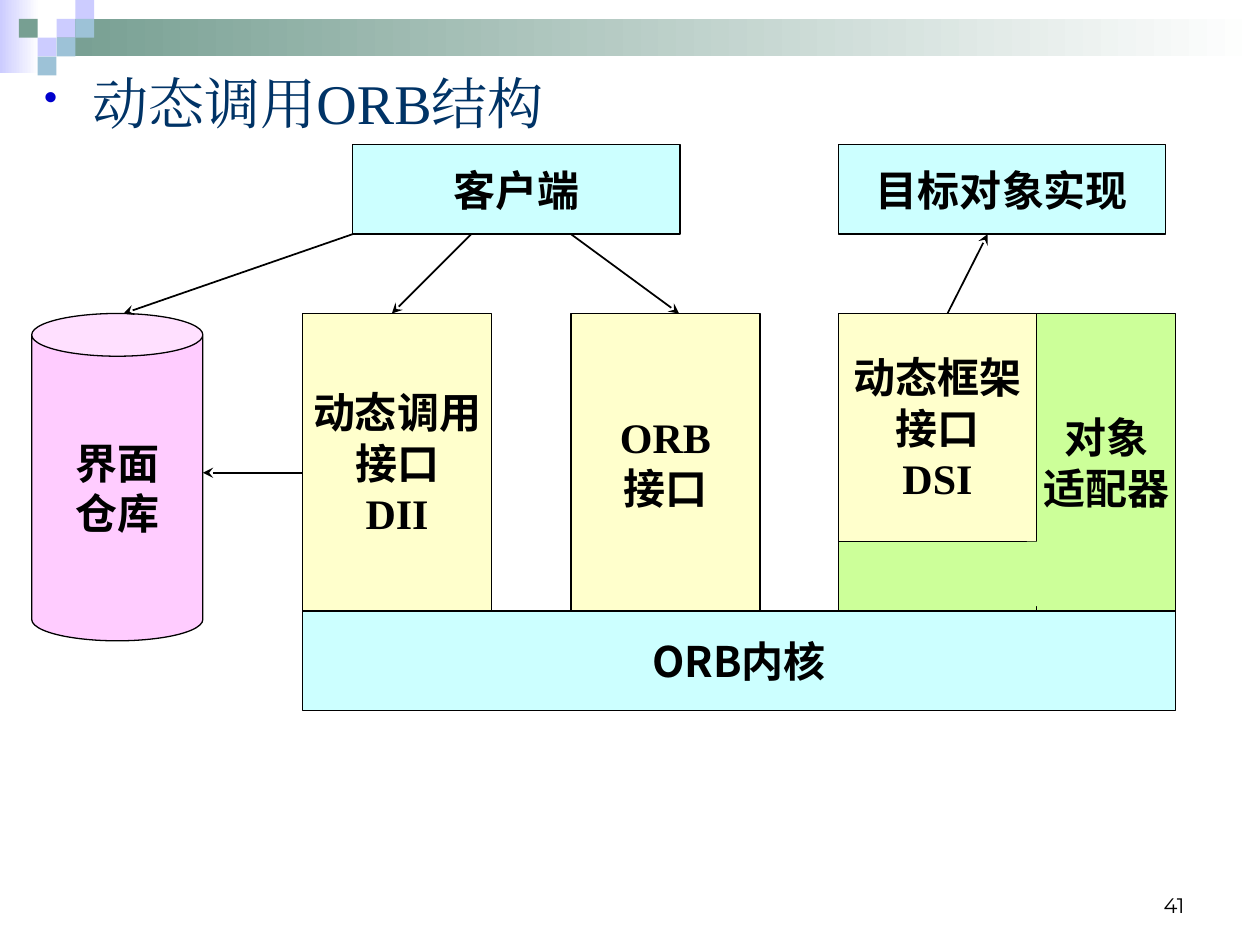
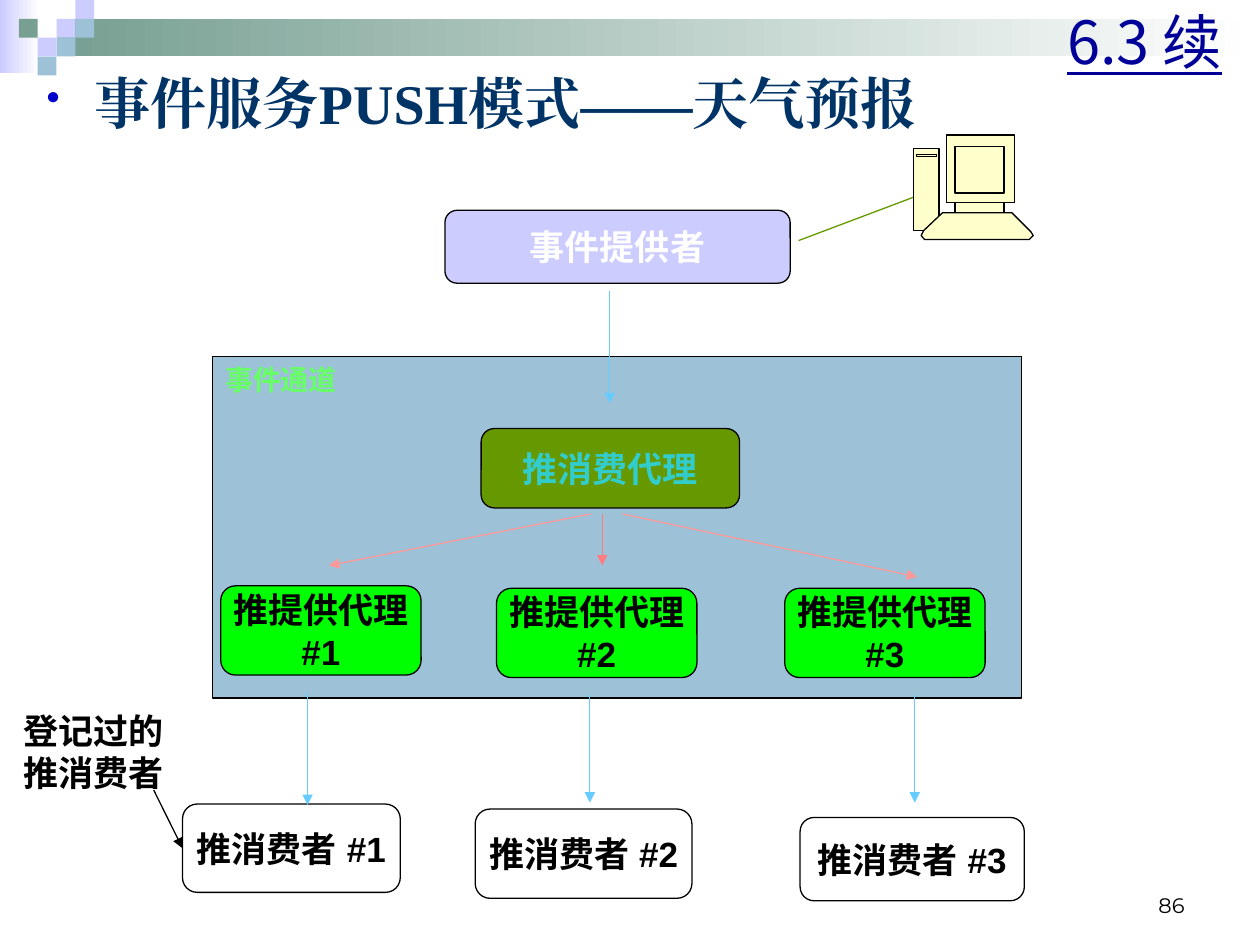
from lxml import etree
from pptx import Presentation
from pptx.dml.color import RGBColor
from pptx.enum import shapes, text
from pptx.oxml.ns import qn
from pptx.util import Cm, Pt

BLACK = RGBColor(0x00, 0x00, 0x00)
WHITE = RGBColor(0xFF, 0xFF, 0xFF)
NAVY = RGBColor(0x00, 0x33, 0x66)
INDIGO = RGBColor(0x00, 0x00, 0x99)
LILAC = RGBColor(0xCC, 0xCC, 0xFF)
STEEL = RGBColor(0x9D, 0xC2, 0xD7)
SAGE = RGBColor(0x77, 0x9F, 0x92)
AQUA = RGBColor(0xCC, 0xFF, 0xFF)
CREAM = RGBColor(0xFF, 0xFF, 0xCC)
LIME = RGBColor(0xCC, 0xFF, 0x99)
PINK = RGBColor(0xFF, 0xCC, 0xFF)
MINT = RGBColor(0x66, 0xFF, 0x66)
GREEN = RGBColor(0x00, 0xFF, 0x00)
OLIVE = RGBColor(0x66, 0x99, 0x00)
TEAL = RGBColor(0x33, 0xCC, 0xCC)
SKY = RGBColor(0x66, 0xCC, 0xFF)
ROSE = RGBColor(0xFF, 0x99, 0x99)
CORAL = RGBColor(0xFF, 0x7C, 0x80)
BULLET = "0000CC"

ARIAL, TIMES = "Arial", "Times New Roman"
NOTO, MONT = "Noto Sans CJK SC", "Montserrat"

KIND = shapes.MSO_SHAPE
RECT, ROUND, CAN = KIND.RECTANGLE, KIND.ROUNDED_RECTANGLE, KIND.CAN
LEFT, MID, RIGHT = text.PP_ALIGN.LEFT, text.PP_ALIGN.CENTER, text.PP_ALIGN.RIGHT
TOP, CENTER, LOW = (text.MSO_ANCHOR.TOP, text.MSO_ANCHOR.MIDDLE,
                    text.MSO_ANCHOR.BOTTOM)

# All lengths are in centimetres.
WIDE, HIGH = 25.4, 19.05
TILE = 0.38
TILES = [  # column, row, colour
    (3, 1, LILAC), (4, 0, LILAC), (4, 1, STEEL), (2, 2, LILAC),
    (1, 1, SAGE), (3, 2, STEEL), (2, 3, STEEL),
]

# Dynamic invocation: rows and columns of the diagram
HEAD, BODY, CORE = 2.92, 6.32, 12.32
FOOT = HEAD + 1.8
SPLIT = 10.92
DII, ORB, DSI, ADAPT, END = 6.1, 11.51, 16.9, 20.9, 23.7
BLOCKS = [  # kind, box, fill, lines of (text, font)
    (RECT, (DII, CORE, END - DII, 2), AQUA, [("ORB内核", NOTO)]),
    (RECT, (DII, BODY, 3.81, CORE - BODY), CREAM,
     [("动态调用", ARIAL), ("接口", ARIAL), ("DII", TIMES)]),
    (RECT, (ORB, BODY, 3.81, CORE - BODY), CREAM,
     [("ORB", TIMES), ("接口", ARIAL)]),
    (RECT, (DSI, BODY, ADAPT - DSI, SPLIT - BODY), CREAM,
     [("动态框架", NOTO), ("接口", NOTO), ("DSI", TIMES)]),
    (RECT, (DSI, SPLIT, ADAPT - DSI, CORE - SPLIT), LIME, []),
    (RECT, (ADAPT, BODY, END - ADAPT, CORE - BODY), LIME,
     [("对象", ARIAL), ("适配器", ARIAL)]),
    (CAN, (0.64, BODY, 3.45, 6.6), PINK, [("界面", ARIAL), ("仓库", ARIAL)]),
    (RECT, (7.11, HEAD, 6.6, 1.8), AQUA, [("客户端", ARIAL)]),
    (RECT, (DSI, HEAD, 6.6, 1.8), AQUA, [("目标对象实现", ARIAL)]),
]
SEAM = (ADAPT - 0.2, SPLIT, 0.22, 1.3)
CALLS = [
    (7.11, FOOT, 2.49, BODY), (9.5, FOOT, 7.9, BODY),
    (ORB, FOOT, 13.69, BODY), (DII, 9.53, 4.09, 9.53),
    (19.1, BODY, 19.91, FOOT),
]

# Push model
CHANNEL = (4.29, 7.19, 16.31, 6.88)
SOURCE = (8.97, 4.24, 6.96, 1.47)
AGENT = (9.7, 8.64, 5.21, 1.6)
PROXIES = [(4.45, 11.81), (10.01, 11.86), (15.82, 11.86)]
USERS = [(3.68, 16.21, 4.39, 1.78), (9.58, 16.31, 4.37, 1.8),
         (16.13, 16.48, 4.52, 1.68)]
FLOWS = [
    (11.89, 14.02, 11.89, 16.18, SKY), (18.44, 14.02, 18.44, 16.18, SKY),
    (6.2, 13.94, 6.2, 16.23, SKY), (12.29, 5.87, 12.29, 8.13, SKY),
    (11.91, 10.36, 6.63, 11.4, ROSE), (12.14, 10.36, 12.14, 11.4, CORAL),
    (12.55, 10.36, 18.49, 11.63, ROSE),
]
TOWER = (18.42, 3, 0.51, 1.65)
SLOT = (18.47, 3.12, 0.41, 0.03)
SCREEN = [(19.08, 2.72, 1.37, 1.37), (19.25, 2.95, 0.99, 0.94),
          (19.25, 4.09, 0.99, 0.2)]
KEYS = [(19, 4.29), (20.4, 4.29), (20.78, 4.67), (20.83, 4.75), (20.75, 4.83),
        (18.64, 4.83), (18.57, 4.75), (18.62, 4.65)]


def cms(box):
    return [Cm(side) for side in box]


def write(shape, lines, size, color=BLACK, bold=True, align=MID,
          anchor=CENTER, wrap=False):
    """Fill a shape with lines of (text, font); return its paragraphs."""
    frame = shape.text_frame
    frame.word_wrap = wrap
    frame.vertical_anchor = anchor
    for num, (words, face) in enumerate(lines):
        para = frame.add_paragraph() if num else frame.paragraphs[0]
        para.alignment = align
        run = para.add_run()
        run.text = words
        font = run.font
        font.name, font.size, font.bold = face, Pt(size), bold
        font.color.rgb = color
        east = etree.SubElement(font._element, qn("a:ea"))
        east.set("typeface", face)
    return frame.paragraphs


def paint(shape, fill, edge=True):
    shape.shadow.inherit = False
    shape.fill.solid()
    shape.fill.fore_color.rgb = fill
    if edge:
        shape.line.color.rgb = BLACK
        shape.line.width = Pt(0.75)
    else:
        shape.line.fill.background()
    return shape


def block(slide, kind, box, fill, edge=True):
    return paint(slide.shapes.add_shape(kind, *cms(box)), fill, edge)


def fade(slide, box, start):
    """Add a band that runs from a colour to white."""
    band = block(slide, RECT, box, start, False)
    band.fill.gradient()
    band.fill.gradient_angle = 0
    for stop, color, place in zip(band.fill.gradient_stops,
                                  (start, WHITE), (0, 1)):
        stop.color.rgb = color
        stop.position = place


def link(slide, ends, color=BLACK, width=0.75, tip="triangle"):
    line = slide.shapes.add_connector(shapes.MSO_CONNECTOR.STRAIGHT, *cms(ends))
    line.line.color.rgb = color
    line.line.width = Pt(width)
    props = line.element.spPr
    if tip:
        etree.SubElement(props.find(qn("a:ln")), qn("a:tailEnd")).set("type", tip)
    etree.SubElement(props, qn("a:effectLst"))
    return line


def label(slide, box, words, face, size, **style):
    area = slide.shapes.add_textbox(*cms(box))
    return write(area, [(words, face)], size, wrap=True, **style)[0]


def start(deck, title, page, left, bold):
    """Add a slide with the shared band, tiles, bulleted title and number."""
    slide = deck.slides.add_slide(deck.slide_layouts[6])
    fade(slide, (0, 0, 0.79, 1.47), LILAC)
    fade(slide, (3 * TILE, TILE, WIDE - 3 * TILE, 0.76), SAGE)
    for col, row, color in TILES:
        block(slide, RECT, (col * TILE, row * TILE, TILE, TILE), color, False)
    label(slide, (18.21, 17.35, 5.92, 1.27), page, MONT, 12, bold=False,
          align=RIGHT, anchor=LOW)
    para = label(slide, (left, 1.12, 23.9, 2), title, TIMES, 32, color=NAVY,
                 bold=bold, align=LEFT, anchor=TOP)
    props = para._p.get_or_add_pPr()
    props.set("marL", str(Cm(0.97)))
    props.set("indent", str(-Cm(0.97)))
    tint = etree.SubElement(props, qn("a:buClr"))
    etree.SubElement(tint, qn("a:srgbClr")).set("val", BULLET)
    etree.SubElement(props, qn("a:buSzPct")).set("val", "70000")
    etree.SubElement(props, qn("a:buChar")).set("char", "•")
    para.line_spacing = 1.1
    return slide


def invoke(deck):
    slide = start(deck, "动态调用ORB结构", "41", 0.64, False)
    for kind, box, fill, lines in BLOCKS:
        write(block(slide, kind, box, fill), lines, 24)
    block(slide, RECT, SEAM, LIME, False)
    for ends in CALLS:
        link(slide, ends, width=1, tip="stealth")


def draw_pc(slide):
    block(slide, RECT, TOWER, CREAM)
    block(slide, RECT, SLOT, CREAM)
    for box in SCREEN:
        block(slide, RECT, box, CREAM)
    first, *rest = [cms(point) for point in KEYS]
    path = slide.shapes.build_freeform(*first)
    path.add_line_segments(rest, close=True)
    paint(path.convert_to_shape(), CREAM)


def push(deck):
    slide = start(deck, "事件服务PUSH模式——天气预报", "86", 0.69, True)
    label(slide, (2.03, -0.08, 22.86, 1.8), "6.3 续", NOTO, 34, color=INDIGO,
          bold=False, align=RIGHT, anchor=CENTER).runs[0].font.underline = True
    write(block(slide, RECT, CHANNEL, STEEL), [("事件通道", ARIAL)], 16, MINT,
          align=LEFT, anchor=TOP)
    users = []
    for num, box in enumerate(USERS, 1):
        user = block(slide, ROUND, box, WHITE)
        write(user, [(f"推消费者 #{num}", ARIAL)], 20)
        users.append(user)
    for num, spot in enumerate(PROXIES, 1):
        write(block(slide, ROUND, (*spot, 4.04, 1.8), GREEN),
              [("推提供代理", ARIAL), (f"#{num}", ARIAL)], 20)
    for *ends, color in FLOWS:
        link(slide, ends, color)
    write(block(slide, ROUND, SOURCE, LILAC), [("事件提供者", ARIAL)], 20, WHITE)
    link(slide, (18.59, 3.91, 16.1, 4.85), OLIVE, tip=None)
    draw_pc(slide)
    write(block(slide, ROUND, AGENT, OLIVE), [("推消费代理", ARIAL)], 20, TEAL)
    label(slide, (0.23, 14.17, 3.61, 1.96), "登记过的推消费者", ARIAL, 20,
          align=LEFT, anchor=TOP)
    link(slide, (3.1, 15.93, 3.68, 17.1)).end_connect(users[0], 1)


def main():
    deck = Presentation()
    deck.slide_width, deck.slide_height = Cm(WIDE), Cm(HIGH)
    invoke(deck)
    push(deck)
    deck.save("out.pptx")


if __name__ == "__main__":
    main()
